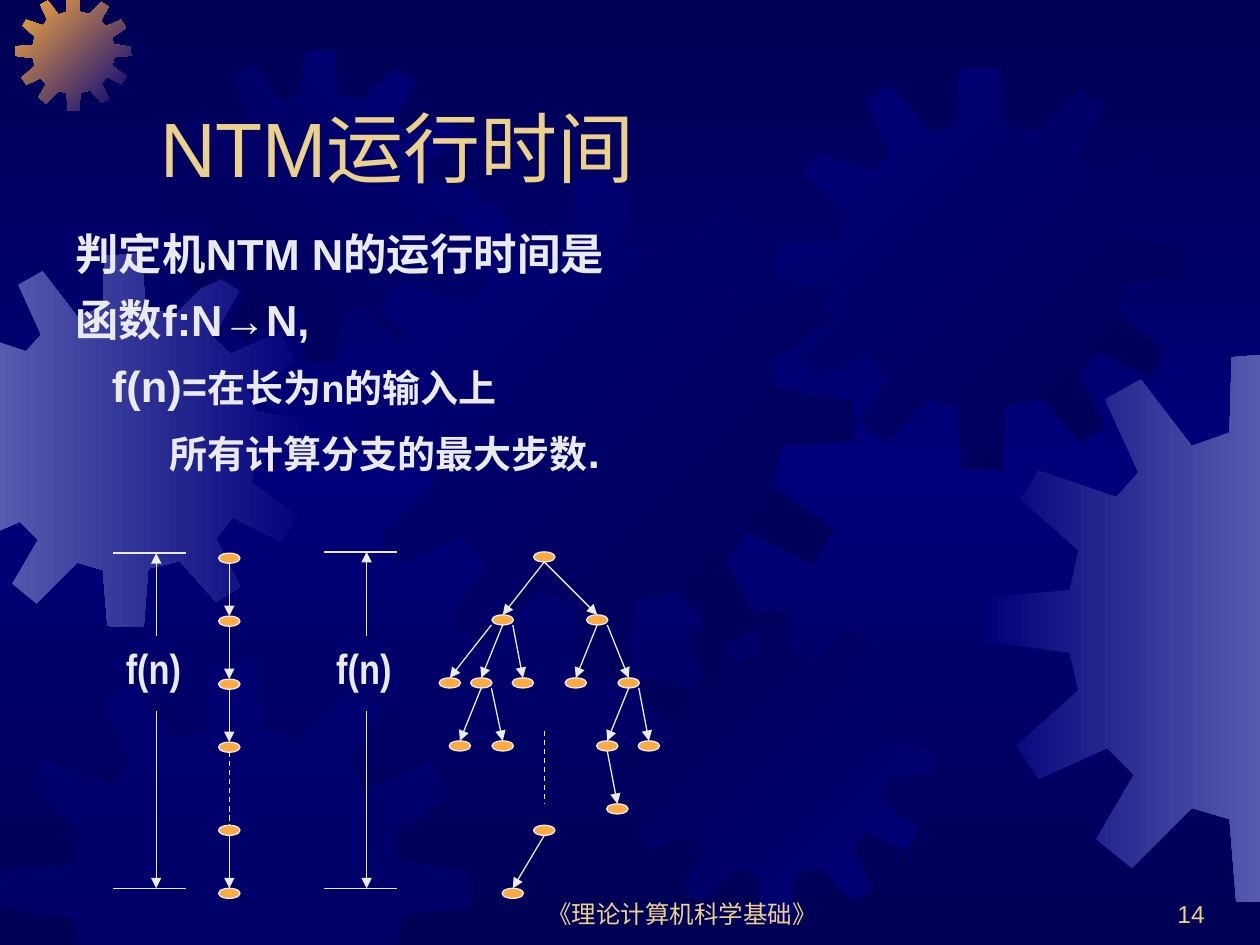
from copy import deepcopy
from dataclasses import dataclass

from lxml import etree
from pptx import Presentation
from pptx.dml.color import RGBColor
from pptx.enum.dml import MSO_LINE
from pptx.enum.shapes import MSO_CONNECTOR, MSO_SHAPE
from pptx.enum.text import MSO_ANCHOR, MSO_AUTO_SIZE, PP_ALIGN
from pptx.oxml.ns import qn
from pptx.util import Emu, Pt

PX = 9144
WIDTH, HEIGHT = 1000, 750
DASH = MSO_LINE.DASH
STRAIGHT = MSO_CONNECTOR.STRAIGHT
OVAL = MSO_SHAPE.OVAL
TOP, BOTTOM = MSO_ANCHOR.TOP, MSO_ANCHOR.BOTTOM
LEFT, CENTER, RIGHT = PP_ALIGN.LEFT, PP_ALIGN.CENTER, PP_ALIGN.RIGHT
NO_AUTOSIZE = MSO_AUTO_SIZE.NONE

COLORS = {"navy": "000054", "blue": "00007A", "steel": "555BAD",
          "orange": "FCAB40", "gold": "EBD189", "white": "EAEAEA"}

NODE_W, NODE_H, LEVEL = 17, 8, 50
GEAR_SIZE = 248
GEAR_OUTLINE = [
    (158, 41), (138, 36), (136, 0), (111, 2), (110, 36), (93, 42), (70, 12), (54, 21),
    (69, 54), (59, 65), (24, 53), (16, 66), (42, 89), (38, 107), (1, 110), (0, 130),
    (38, 135), (42, 152), (14, 177), (24, 192), (55, 178), (67, 190), (50, 219), (66, 232),
    (93, 205), (110, 210), (113, 247), (137, 248), (140, 209), (161, 204), (185, 231), (201, 221),
    (185, 189), (196, 175), (228, 191), (238, 174), (208, 152), (212, 133), (248, 130), (247, 111),
    (211, 105), (207, 91), (237, 71), (227, 53), (194, 67), (183, 56), (200, 25), (184, 15)]


@dataclass
class Gear:
    x: int
    y: int
    size: int
    start: str
    end: str
    angle: int = 0
    alpha: int = 100


@dataclass
class Branch:
    x: int
    child_x: int
    top: int


@dataclass
class Gauge:
    left: int
    top: int


GEARS = [
    Gear(-50, 201, 297, "steel", "blue"),
    Gear(12, -4, 92, "orange", "blue", 45),
    Gear(130, 39, 248, "navy", "blue", 315),
    Gear(277, 139, 401, "blue", "navy", 45),
    Gear(0, 525, 374, "blue", "blue", alpha=50),
    Gear(491, 484, 248, "navy", "blue", 45),
    Gear(618, 53, 320, "blue", "navy", 45),
    Gear(782, 280, 437, "blue", "steel"),
]
ROOTS = [(182, 439), (182, 655), (432, 438), (432, 655)]
BRANCHES = [Branch(182, 182, top) for top in (439, 489, 539, 655)] + [
    Branch(432, 399, 438), Branch(432, 474, 438),
    Branch(390, 357, 488), Branch(399, 382, 488), Branch(407, 415, 488),
    Branch(474, 457, 488), Branch(482, 499, 488),
    Branch(382, 365, 538), Branch(390, 399, 538),
    Branch(499, 482, 538), Branch(507, 515, 538),
    Branch(482, 490, 588), Branch(432, 407, 655)]
GAUGES = [Gauge(90, 439), Gauge(257, 438)]
BODY = [
    (0, [("判定机NTM N的运行时间是", 24.8)]),
    (0, [("函数f:N→N,", 24.8)]),
    (29, [("f(n)=", 24.8), ("在长为n的输入上", 21.7)]),
    (75, [("所有计算分支的最大步数", 21.7), (".", 24.8)]),
]


def rgb(name: str) -> RGBColor:
    return RGBColor.from_string(COLORS[name])


def px(*values: int) -> list[Emu]:
    return [Emu(round(v * PX)) for v in values]


def crop(points: list, axis: int, bound: int, sign: int) -> list:
    kept = []
    for a, b in zip(points, points[1:] + points[:1]):
        da, db = sign * (a[axis] - bound), sign * (b[axis] - bound)
        if da >= 0:
            kept.append(a)
        if da * db < 0:
            t = da / (da - db)
            kept.append(tuple(p + t * (q - p) for p, q in zip(a, b)))
    return kept


def draw_gear(s, gear: Gear) -> None:
    scale = gear.size / GEAR_SIZE
    points = [(gear.x + x * scale, gear.y + y * scale) for x, y in GEAR_OUTLINE]
    for axis, bound, sign in ((0, 0, 1), (0, WIDTH, -1), (1, 0, 1), (1, HEIGHT, -1)):
        points = crop(points, axis, bound, sign)
    points = [tuple(px(*point)) for point in points]
    builder = s.shapes.build_freeform(*points[0], scale=1.0)
    builder.add_line_segments(points[1:], close=True)
    sp = builder.convert_to_shape()
    sp.shadow.inherit = False
    sp.line.fill.background()
    if gear.alpha < 100:
        sp.fill.solid()
        sp.fill.fore_color.rgb = rgb(gear.start)
        color = next(sp._element.spPr.iter(qn("a:srgbClr")))
        etree.SubElement(color, qn("a:alpha"), val=str(gear.alpha * 1000))
    else:
        set_gradient(sp.fill, gear.start, gear.end, gear.angle)


def set_gradient(fill, start: str, end: str, angle: int) -> None:
    fill.gradient()
    fill.gradient_angle = -angle % 360
    for stop, name in zip(fill.gradient_stops, (start, end)):
        stop.color.rgb = rgb(name)


def draw_background(s) -> None:
    fill = s.background.fill
    set_gradient(fill, "navy", "blue", 90)
    fill.gradient_stops[1].position = 0.5
    stops = next(s._element.iter(qn("a:gsLst")))
    last = deepcopy(stops[0])
    last.set("pos", "100000")
    stops.append(last)


def draw_line(s, x1: int, y1: int, x2: int, y2: int, arrow: bool = False, dash: bool = False) -> None:
    line = s.shapes.add_connector(STRAIGHT, *px(x1, y1, x2, y2))
    line.line.color.rgb = rgb("white")
    line.line.width = Pt(0.75)
    if dash:
        line.line.dash_style = DASH
    if arrow:
        etree.SubElement(line.line._get_or_add_ln(), qn("a:tailEnd"), type="triangle")
    etree.SubElement(line._element.spPr, qn("a:effectLst"))


def draw_node(s, x: int, top: int) -> None:
    sp = s.shapes.add_shape(OVAL, *px(x - NODE_W / 2, top, NODE_W, NODE_H))
    sp.shadow.inherit = False
    sp.fill.solid()
    sp.fill.fore_color.rgb = rgb("orange")
    sp.line.color.rgb = rgb("white")
    sp.line.width = Pt(0.75)


def format_run(r, size: float, color: str, bold: bool = False, font: str = "Arial") -> None:
    r.font.size = Pt(size)
    r.font.name = font
    r.font.bold = bold
    r.font.color.rgb = rgb(color)


def add_box(s, x: int, y: int, w: int, h: int, anchor=TOP):
    tf = s.shapes.add_textbox(*px(x, y, w, h)).text_frame
    tf.word_wrap = True
    tf.vertical_anchor = anchor
    return tf


def add_label(s, text: str, x: int, y: int, w: int, h: int, align, anchor, **style) -> None:
    tf = add_box(s, x, y, w, h, anchor)
    tf.text = text
    p = tf.paragraphs[0]
    p.alignment = align
    format_run(p.runs[0], **style)


def draw_gauge(s, gauge: Gauge) -> None:
    left, top, bottom = gauge.left, gauge.top, 705
    axis = left + 34
    for y in (top, bottom):
        draw_line(s, left, y, left + 58, y)
    draw_line(s, axis, 505, axis, top, arrow=True)
    draw_line(s, axis, 564, axis, bottom, arrow=True)
    add_label(s, "f(n)", left, 505, 67, 50, LEFT, TOP,
              size=24, color="white", bold=True, font="Arial Narrow")


def draw_title(s) -> None:
    sp = s.shapes.title
    sp.left, sp.top, sp.width, sp.height = px(117, 33, 850, 125)
    s.shapes._spTree.append(sp._element)
    tf = sp.text_frame
    tf.text = "NTM运行时间"
    tf.auto_size = NO_AUTOSIZE
    tf.vertical_anchor = BOTTOM
    p = tf.paragraphs[0]
    p.alignment = LEFT
    format_run(p.runs[0], 44, "gold")


def draw_body(s) -> None:
    tf = add_box(s, 50, 175, 900, 211)
    for i, (indent, runs) in enumerate(BODY):
        p = tf.add_paragraph() if i else tf.paragraphs[0]
        p._p.get_or_add_pPr().set("marL", str(indent * PX))
        p.space_before = Pt(8 if i else 0)
        for text, size in runs:
            r = p.add_run()
            r.text = text
            format_run(r, size, "white", True)


def main() -> None:
    prs = Presentation()
    prs.slide_width, prs.slide_height = px(WIDTH, HEIGHT)
    s = prs.slides.add_slide(prs.slide_layouts[5])
    draw_background(s)
    for gear in GEARS:
        draw_gear(s, gear)
    add_label(s, "《理论计算机科学基础》", 383, 692, 317, 50, CENTER, BOTTOM, size=14, color="gold")
    add_label(s, "14", 758, 692, 208, 50, RIGHT, BOTTOM, size=14, color="gold")
    draw_title(s)
    draw_body(s)
    for x, top in ROOTS:
        draw_node(s, x, top)
    for b in BRANCHES:
        draw_node(s, b.child_x, b.top + LEVEL)
        draw_line(s, b.x, b.top + NODE_H, b.child_x, b.top + LEVEL, arrow=True)
    for x, top in ((182, 597), (432, 580)):
        draw_line(s, x, top, x, top + 58, dash=True)
    for gauge in GAUGES:
        draw_gauge(s, gauge)
    prs.save("out.pptx")


if __name__ == "__main__":
    main()
